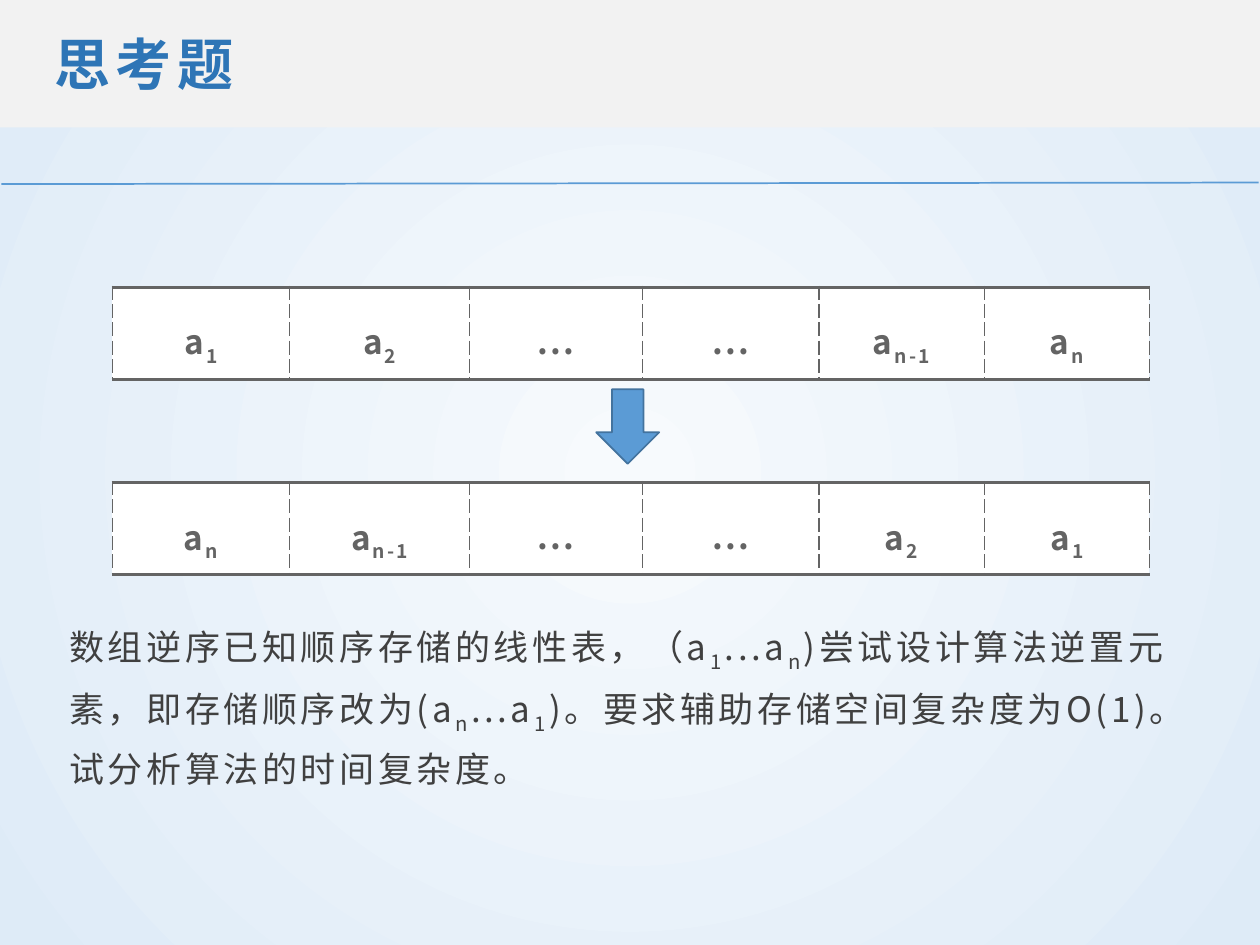
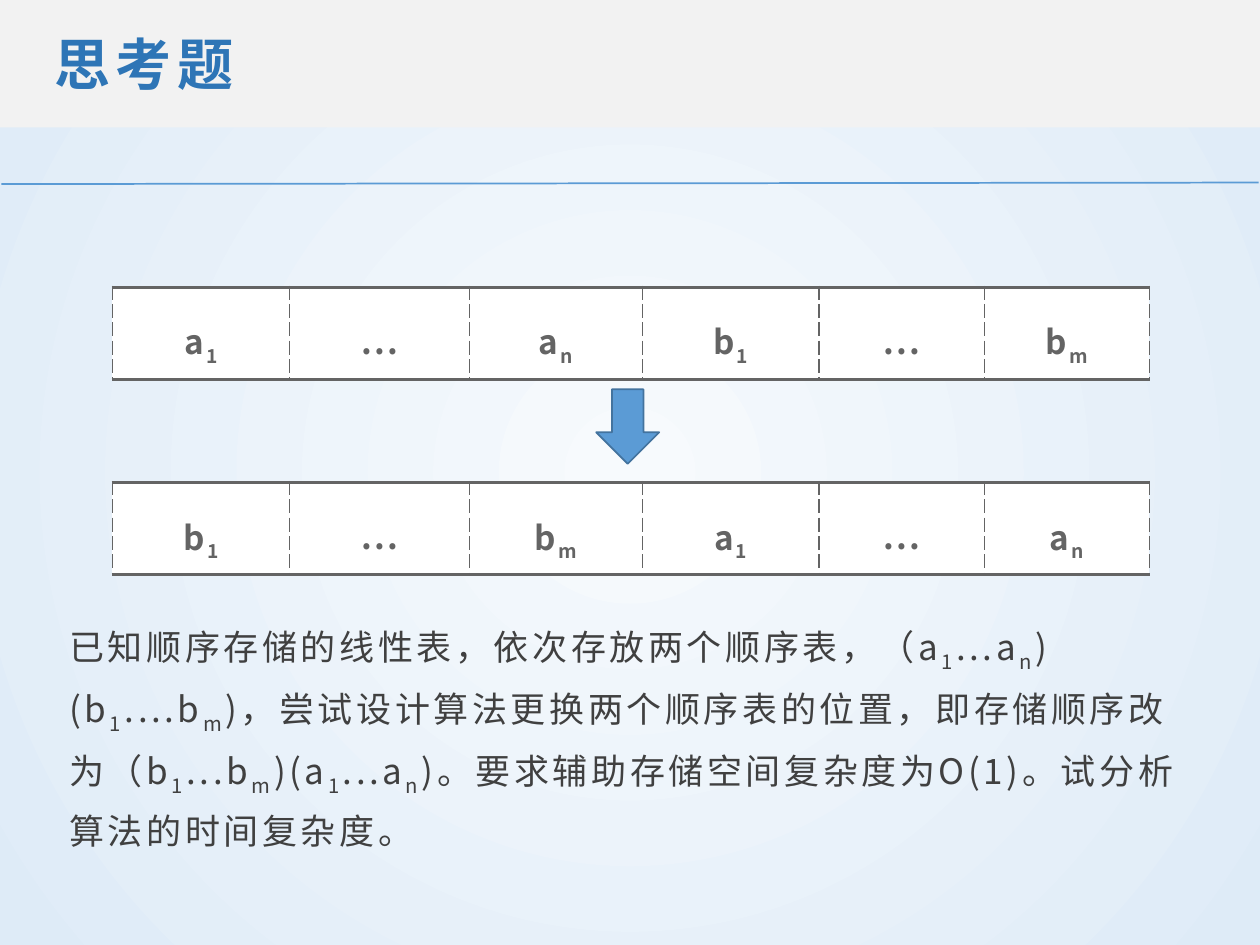
from lxml.etree import SubElement
from pptx import Presentation
from pptx.dml.color import RGBColor
from pptx.enum.shapes import MSO_CONNECTOR, MSO_SHAPE
from pptx.enum.text import MSO_ANCHOR, PP_ALIGN
from pptx.oxml import parse_xml
from pptx.oxml.ns import nsdecls, qn
from pptx.util import Cm, Pt

FONT = "Noto Sans CJK SC"
GLOW = RGBColor(0xF7, 0xFA, 0xFD)
SKY = RGBColor(0xDE, 0xEB, 0xF7)
BAND = RGBColor(0xF2, 0xF2, 0xF2)
TITLE = RGBColor(0x2E, 0x75, 0xB6)
ACCENT = RGBColor(0x5B, 0x9B, 0xD5)
ACCENT_EDGE = RGBColor(0x43, 0x73, 0x9E)
CELL_INK = RGBColor(0x64, 0x64, 0x64)
BODY_INK = RGBColor(0x40, 0x40, 0x40)
WHITE = RGBColor(0xFF, 0xFF, 0xFF)

PAGE_WIDTH, PAGE_HEIGHT = 25.4, 19.05
COLUMN_WIDTHS = (3.58, 3.63, 3.48, 3.56, 3.33, 3.33)
# Border: tag, width in EMU, dash
BORDERS = (
    ("lnL", Pt(0.75), "sysDash"),
    ("lnR", Pt(0.75), "sysDash"),
    ("lnT", Pt(2.25), "solid"),
    ("lnB", Pt(2.25), "solid"),
)

# Subscripts stand in braces
QUESTIONS = (
    {
        "before": ("a{1}", "a{2}", "...", "...", "a{n-1}", "a{n}"),
        "after": ("a{n}", "a{n-1}", "...", "...", "a{2}", "a{1}"),
        "task": "数组逆序已知顺序存储的线性表，（a{1}...a{n})尝试设计算法逆置元素，"
                "即存储顺序改为(a{n}...a{1})。要求辅助存储空间复杂度为O(1)。"
                "试分析算法的时间复杂度。",
    },
    {
        "before": ("a{1}", "...", "a{n}", "b{1}", "...", "b{m}"),
        "after": ("b{1}", "...", "b{m}", "a{1}", "...", "a{n}"),
        "task": "已知顺序存储的线性表，依次存放两个顺序表，（a{1}...a{n})(b{1}....b{m})，"
                "尝试设计算法更换两个顺序表的位置，即存储顺序改为（b{1}...b{m})(a{1}...a{n})。"
                "要求辅助存储空间复杂度为O(1)。试分析算法的时间复杂度。",
    },
)


class Deck:
    def __init__(self):
        self.prs = Presentation()
        self.prs.slide_width = Cm(PAGE_WIDTH)
        self.prs.slide_height = Cm(PAGE_HEIGHT)
        self.slide = None

    def new_slide(self, title):
        self.slide = self.prs.slides.add_slide(self.prs.slide_layouts[6])
        self.background()
        self.rule((0.03, 3.71), (25.37, 3.68))
        self.shape(MSO_SHAPE.RECTANGLE, (0, 0, PAGE_WIDTH, 2.57), BAND)
        self.text(title, (0.97, 0.43, 23.5, 1.7), 32, TITLE, 3,
                  bold=True, anchor=MSO_ANCHOR.MIDDLE)

    def background(self):
        fill = self.slide.background.fill
        fill.gradient()
        for stop, color in zip(fill.gradient_stops, (GLOW, SKY)):
            stop.color.rgb = color
        # Turn the linear gradient into a circular one
        linear = self.slide._element.find(".//" + qn("a:lin"))
        linear.getparent().replace(linear, parse_xml(
            f'<a:path {nsdecls("a")} path="circle">'
            '<a:fillToRect l="50000" t="50000" r="50000" b="50000"/></a:path>'))

    def rule(self, start, end):
        line = self.slide.shapes.add_connector(
            MSO_CONNECTOR.STRAIGHT, *map(Cm, start + end))
        line.line.color.rgb = ACCENT
        line.line.width = Pt(1)
        SubElement(line._element.spPr, qn("a:effectLst"))

    def shape(self, preset, box, fill, edge=None):
        shape = self.slide.shapes.add_shape(preset, *map(Cm, box))
        shape.shadow.inherit = False
        shape.fill.solid()
        shape.fill.fore_color.rgb = fill
        if edge is None:
            shape.line.fill.background()
        else:
            shape.line.color.rgb = edge
            shape.line.width = Pt(1)

    def add_runs(self, paragraph, text, size, color, spacing, bold=False):
        for index, part in enumerate(text.replace("}", "{").split("{")):
            if not part:
                continue
            run = paragraph.add_run()
            run.text = part
            run.font.size = Pt(size)
            run.font.bold = bold
            run.font.color.rgb = color
            run.font.name = FONT
            props = run._r.get_or_add_rPr()
            SubElement(props, qn("a:ea")).set("typeface", FONT)
            props.set("spc", str(round(spacing * 100)))
            if index % 2:
                props.set("baseline", "-25000")

    def text(self, text, box, size, color, spacing, bold=False,
             anchor=MSO_ANCHOR.TOP, line_spacing=1.0, space_after=0):
        frame = self.slide.shapes.add_textbox(*map(Cm, box)).text_frame
        frame.word_wrap = True
        frame.vertical_anchor = anchor
        frame.margin_left = frame.margin_right = Cm(0.13)
        frame.margin_top = frame.margin_bottom = Cm(0.05)
        paragraph = frame.paragraphs[0]
        paragraph.line_spacing = line_spacing
        paragraph.space_after = Pt(space_after)
        self.add_runs(paragraph, text, size, color, spacing, bold)

    def array(self, items, top):
        table = self.slide.shapes.add_table(
            1, len(items), Cm(2.26), Cm(top),
            Cm(sum(COLUMN_WIDTHS)), Cm(1.7)).table
        table.first_row = table.horz_banding = False
        for column, width in zip(table.columns, COLUMN_WIDTHS):
            column.width = Cm(width)
        for cell, item in zip(table.rows[0].cells, items):
            cell.vertical_anchor = MSO_ANCHOR.MIDDLE
            cell.margin_left = cell.margin_right = Cm(0.61)
            cell.margin_top = cell.margin_bottom = Cm(0.38)
            cell.fill.solid()
            cell.fill.fore_color.rgb = WHITE
            self.borders(cell)
            paragraph = cell.text_frame.paragraphs[0]
            paragraph.alignment = PP_ALIGN.CENTER
            paragraph.line_spacing = 1.2
            self.add_runs(paragraph, item, 19, CELL_INK, 1.3, bold=True)

    def borders(self, cell):
        props = cell._tc.get_or_add_tcPr()
        for position, (tag, width, dash) in enumerate(BORDERS):
            props.insert(position, parse_xml(
                f'<a:{tag} {nsdecls("a")} w="{width}"><a:solidFill>'
                f'<a:srgbClr val="{CELL_INK}"/></a:solidFill>'
                f'<a:prstDash val="{dash}"/></a:{tag}>'))


def main():
    deck = Deck()
    for question in QUESTIONS:
        deck.new_slide("思考题")
        deck.array(question["before"], 5.79)
        deck.text(question["task"], (1.27, 12.27, 22.86, 5.92), 20, BODY_INK, 2,
                  line_spacing=1.3, space_after=8)
        deck.array(question["after"], 9.73)
        deck.shape(MSO_SHAPE.DOWN_ARROW, (12.02, 7.85, 1.27, 1.5),
                   ACCENT, ACCENT_EDGE)
    deck.prs.save("out.pptx")


if __name__ == "__main__":
    main()
